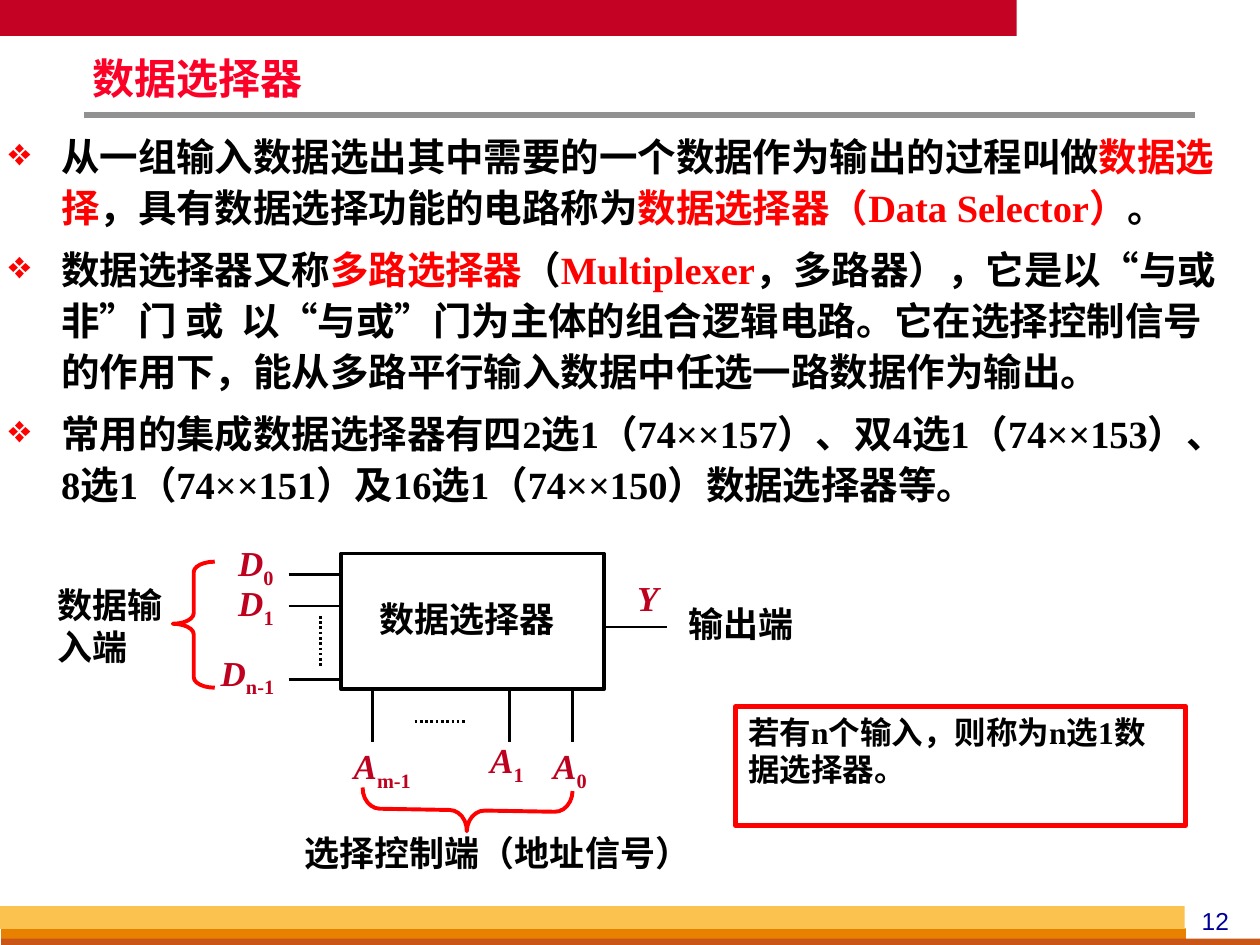
from lxml.etree import SubElement
from pptx import Presentation
from pptx.dml.color import RGBColor
from pptx.enum.dml import MSO_LINE
from pptx.enum.shapes import MSO_CONNECTOR, MSO_SHAPE
from pptx.enum.text import MSO_ANCHOR, MSO_AUTO_SIZE, PP_ALIGN
from pptx.oxml.ns import qn
from pptx.util import Pt

SERIF = "Times New Roman"
BLACK, RED, CRIMSON = "000000", "FF0000", "BD011E"

BULLETS = [
    [("从一组输入数据选出其中需要的一个数据作为输出的过程叫做", BLACK),
     ("数据选择", RED),
     ("，具有数据选择功能的电路称为", BLACK),
     ("数据选择器（Data Selector）", RED),
     ("。", BLACK)],
    [("数据选择器又称", BLACK),
     ("多路选择器", RED),
     ("（", BLACK),
     ("Multiplexer", RED),
     ("，多路器），它是以“与或非”门 或  以“与或”门为主体的组合逻辑电路。"
      "它在选择控制信号的作用下，能从多路平行输入数据中任选一路数据作为输出。", BLACK)],
    [("常用的集成数据选择器有四2选1（74××157）、双4选1（74××153）、"
      "8选1（74××151）及16选1（74××150）数据选择器等。", BLACK)],
]

SIGNALS = [
    ("D", "0", 129, 306, 42, True),
    ("D", "1", 129, 329, 40, True),
    ("D", "n-1", 119, 368.5, 54, True),
    ("A", "0", 309, 422, 34.5, False),
    ("A", "1", 273, 418.5, 40, True),
    ("A", "m-1", 195, 422, 50, False),
    ("Y", "", 357, 326, 27, False),
]

LABELS = [
    ("数据选择器", 209.5, 338, 115, 31, False),
    ("数据输入端", 26, 330, 82, 55, True),
    ("输出端", 386.5, 340.5, 90, 31, True),
    ("选择控制端（地址信号）", 167, 471.5, 236, 31, False),
]


def rgb(color):
    return RGBColor.from_string(color)


def add_shape(s, kind, x, y, w, h, fill=None, line=None, width=2.25):
    sp = s.shapes.add_shape(kind, Pt(x), Pt(y), Pt(w), Pt(h))
    sp.shadow.inherit = False
    if fill:
        sp.fill.solid()
        sp.fill.fore_color.rgb = rgb(fill)
    else:
        sp.fill.background()
    if line:
        sp.line.color.rgb = rgb(line)
        sp.line.width = Pt(width)
    else:
        sp.line.fill.background()
    return sp


def add_brace(s, x, y, w, h, curve, point, rotation=0):
    sp = add_shape(s, MSO_SHAPE.LEFT_BRACE, x, y, w, h, line=RED)
    sp.adjustments[0] = curve
    sp.adjustments[1] = point
    sp.rotation = rotation


def add_line(s, x1, y1, x2, y2, color=BLACK, width=1.5, dotted=False):
    line = s.shapes.add_connector(MSO_CONNECTOR.STRAIGHT, Pt(x1), Pt(y1), Pt(x2), Pt(y2))
    line.line.color.rgb = rgb(color)
    line.line.width = Pt(width)
    if dotted:
        line.line.dash_style = MSO_LINE.ROUND_DOT
    SubElement(line._element.spPr, qn("a:effectLst"))


def format_run(r, size, color, bold=True, italic=False, font=SERIF):
    r.font.size = Pt(size)
    r.font.name = font
    r.font.bold = bold
    r.font.italic = italic
    r.font.color.rgb = rgb(color)


def add_box(s, x, y, w, h, wrap=True, inset=(7.2, 3.6)):
    tf = s.shapes.add_textbox(Pt(x), Pt(y), Pt(w), Pt(h)).text_frame
    tf.word_wrap = wrap
    tf.auto_size = MSO_AUTO_SIZE.SHAPE_TO_FIT_TEXT
    tf.margin_left = tf.margin_right = Pt(inset[0])
    tf.margin_top = tf.margin_bottom = Pt(inset[1])
    return tf


def add_label(s, text, x, y, w, h, wrap=True, size=20, color=BLACK, **style):
    tf = add_box(s, x, y, w, h, wrap)
    tf.text = text
    p = tf.paragraphs[0]
    format_run(p.runs[0], size, color, **style)
    return p


def add_signal(s, name, index, x, y, w, wrap):
    p = add_label(s, name, x, y, w, 31, wrap, color=CRIMSON, italic=True)
    if index:
        r = p.add_run()
        r.text = index
        format_run(r, 20, CRIMSON)
        r.font._element.set("baseline", "-25000")


def set_bullet(p):
    pPr = p._p.get_or_add_pPr()
    pPr.set("marL", str(Pt(30)))
    pPr.set("indent", str(Pt(-30)))
    color = SubElement(pPr, qn("a:buClr"))
    SubElement(color, qn("a:srgbClr")).set("val", RED)
    SubElement(pPr, qn("a:buChar")).set("char", "❖")


def add_frame(s):
    add_shape(s, MSO_SHAPE.RECTANGLE, 0, 0, 581, 20.5, "C30224")
    add_line(s, 48, 65.7, 683, 65.7, "919191", 3)
    add_shape(s, MSO_SHAPE.RECTANGLE, 0.7, 530.6, 677, 6, "E88000")
    add_shape(s, MSO_SHAPE.RECTANGLE, 0.7, 536.4, 719.3, 3.6, "C95616")
    add_shape(s, MSO_SHAPE.RECTANGLE, 0, 517.8, 677, 13, "FCC24F")
    p = add_label(s, "12", 672, 514, 45, 24, size=14, color="000099", bold=False, font="Arial")
    p.alignment = PP_ALIGN.CENTER


def add_title(s, text):
    tf = add_box(s, 48, 31.5, 414, 29, inset=(5, 2.2))
    tf.text = text
    p = tf.paragraphs[0]
    p.line_spacing = 0.87
    format_run(p.runs[0], 24, "FC0128")


def add_body(s):
    tf = add_box(s, 0, 71.3, 711, 223, inset=(5, 2.2))
    for i, parts in enumerate(BULLETS):
        p = tf.add_paragraph() if i else tf.paragraphs[0]
        p.line_spacing = 1.1
        p.space_before = p.space_after = Pt(3.3)
        set_bullet(p)
        for text, color in parts:
            r = p.add_run()
            r.text = text
            format_run(r, 22, color)


def add_diagram(s):
    left, top, width, height = 195, 316.3, 150, 77.7
    right, bottom = left + width, top + height
    add_shape(s, MSO_SHAPE.RECTANGLE, left, top, width, height, line=BLACK)
    for y in (328.3, 346.3, 388.3):
        add_line(s, left - 30, y, left, y)
    for x in (213, 291, 327):
        add_line(s, x, bottom, x, bottom + 30)
    add_line(s, right, 358.3, right + 36, 358.3)
    add_line(s, 183, 352, 183, 382, dotted=True)
    add_line(s, 237, 412.3, 267, 412.3, dotted=True)
    for signal in SIGNALS:
        add_signal(s, *signal)
    for label in LABELS:
        add_label(s, *label)
    add_brace(s, 98.7, 321, 24, 72, 0.25, 0.493)
    add_brace(s, 255, 403, 24, 120, 0.417, 0.5, 271)


def add_note(s, text):
    sp = add_shape(s, MSO_SHAPE.RECTANGLE, 420.5, 403.7, 257, 68, "FFFFFF", RED, 3)
    tf = sp.text_frame
    tf.word_wrap = True
    tf.vertical_anchor = MSO_ANCHOR.TOP
    tf.text = text
    p = tf.paragraphs[0]
    p.alignment = PP_ALIGN.LEFT
    format_run(p.runs[0], 18, BLACK)


def main():
    prs = Presentation()
    prs.slide_width, prs.slide_height = Pt(720), Pt(540)
    s = prs.slides.add_slide(prs.slide_layouts[6])
    add_frame(s)
    add_title(s, "数据选择器")
    add_body(s)
    add_diagram(s)
    add_note(s, "若有n个输入，则称为n选1数据选择器。")
    prs.save("out.pptx")


if __name__ == "__main__":
    main()
